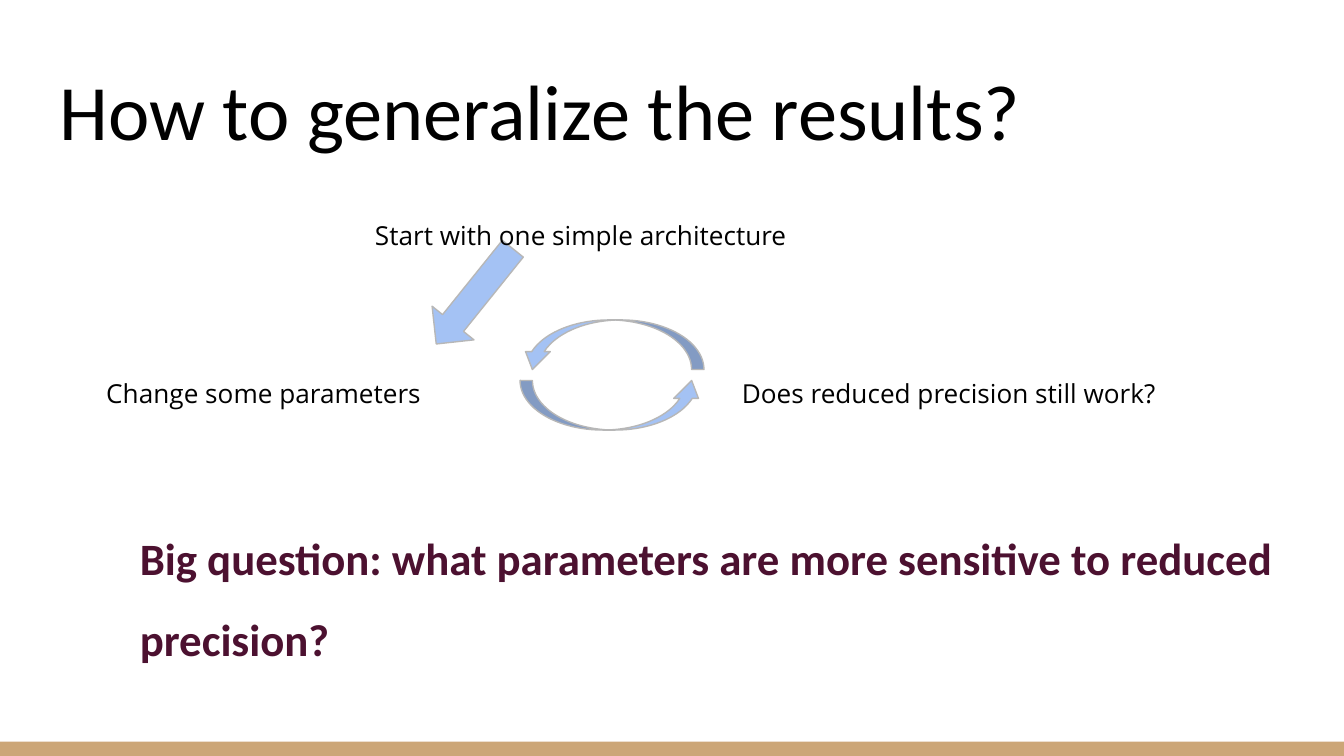
import dataclasses
import typing

import lxml.etree
import pptx
import pptx.dml.color
import pptx.enum.shapes
import pptx.enum.text
import pptx.oxml.ns
import pptx.util

Pt = pptx.util.Pt
Kind = pptx.enum.shapes.MSO_SHAPE
Box = tuple[float, float, float, float]


@dataclasses.dataclass(frozen=True)
class Theme:
    ink: str = "000000"
    plum: str = "4C1130"
    sky: str = "A4C2F4"
    edge: str = "B7B7B7"
    sand: str = "CCA677"
    head_font: str = "Calibri"
    note_font: str = "Open Sans"
    head_size: float = 42
    big_size: float = 24
    note_size: float = 14


@dataclasses.dataclass(frozen=True)
class Note:
    slot: int
    text: str
    box: Box


@dataclasses.dataclass(frozen=True)
class Arrow:
    kind: typing.Any
    box: Box
    bends: tuple[float, ...]
    turn: float = 0
    flip: bool = False


THEME = Theme()
WIDE, HIGH = 720, 405
BAR = 7.7
ROW = 186.5  # top of the two notes beside the loop
CURVE = (0.25, 0.5, 0.361)

NOTES = [
    Note(2, "Start with one simple architecture", (193.7, 102.2, 305.3, 40.3)),
    Note(3, "Change some parameters", (49.7, ROW, 247, 45.4)),
    Note(4, "Does reduced precision still work?", (390.2, ROW, 305.3, 45.4)),
]
ARROWS = [
    Arrow(Kind.DOWN_ARROW, (239.8, 126, 28.8, 65.5), (0.5, 0.5), turn=38.8),
    Arrow(Kind.CURVED_DOWN_ARROW, (278.6, 171.4, 98.6, 26.6), CURVE, flip=True),
    Arrow(Kind.CURVED_DOWN_ARROW, (278.6, 203.8, 98.6, 26.6), CURVE, turn=180, flip=True),
]


def tint(code: str) -> pptx.dml.color.RGBColor:
    return pptx.dml.color.RGBColor.from_string(code)


def place(shape: typing.Any, box: Box) -> None:
    shape.left, shape.top, shape.width, shape.height = map(Pt, box)


def write(shape: typing.Any, text: str, *, box: Box, font: str, size: float,
          color: str = THEME.ink, bold: bool = False, low: bool = False,
          lines: float = 1.0, after: float = 0) -> None:
    """Fill and format a placeholder with one plain paragraph."""
    place(shape, box)
    frame = shape.text_frame
    frame.text = text
    frame.word_wrap = True
    frame.auto_size = pptx.enum.text.MSO_AUTO_SIZE.NONE
    anchor = pptx.enum.text.MSO_ANCHOR
    frame.vertical_anchor = anchor.BOTTOM if low else anchor.TOP
    frame.margin_left = frame.margin_right = Pt(7.2)
    frame.margin_top = frame.margin_bottom = Pt(7.2)

    para = frame.paragraphs[0]
    para.alignment = pptx.enum.text.PP_ALIGN.LEFT
    para.line_spacing = lines
    para.space_before, para.space_after = Pt(0), Pt(after)
    props = para.runs[0].font
    props.name, props.size, props.bold = font, Pt(size), bold
    props.color.rgb = tint(color)

    # No bullet or hanging indent
    node = para._p.get_or_add_pPr()
    node.set("marL", "0")
    node.set("indent", "0")
    lxml.etree.SubElement(node, pptx.oxml.ns.qn("a:buNone"))


def draw(slide: typing.Any, kind: typing.Any, box: Box, fill: str,
         line: str | None = None) -> typing.Any:
    shape = slide.shapes.add_shape(kind, *map(Pt, box))
    shape.shadow.inherit = False
    shape.fill.solid()
    shape.fill.fore_color.rgb = tint(fill)
    if line:
        shape.line.color.rgb = tint(line)
        shape.line.width = Pt(0.75)
    else:
        shape.line.fill.background()
    return shape


def point(slide: typing.Any, arrow: Arrow) -> typing.Any:
    shape = draw(slide, arrow.kind, arrow.box, THEME.sky, THEME.edge)
    for i, bend in enumerate(arrow.bends):
        shape.adjustments[i] = bend
    shape.rotation = arrow.turn
    if arrow.flip:
        shape.element.spPr.find(pptx.oxml.ns.qn("a:xfrm")).set("flipH", "1")
    return shape


def main() -> None:
    deck = pptx.Presentation()
    deck.slide_width, deck.slide_height = Pt(WIDE), Pt(HIGH)
    # The comparison layout has a title and four body slots
    slide = deck.slides.add_slide(deck.slide_layouts[4])
    slots = {s.placeholder_format.idx: s for s in slide.placeholders}

    # Title and closing question
    write(slots[0], "How to generalize the results?", box=(24.5, 25.2, 671, 65.5),
          font=THEME.head_font, size=THEME.head_size, low=True)
    write(slots[1], "Big question: what parameters are more sensitive to reduced precision?",
          box=(67.7, 262.8, 671, 264.2), font=THEME.head_font, size=THEME.big_size,
          color=THEME.plum, bold=True, lines=1.5, after=16)

    # Notes around the loop
    for note in NOTES:
        write(slots[note.slot], note.text, box=note.box, font=THEME.note_font,
              size=THEME.note_size, lines=1.5, after=16)

    # Arrows: the first one lies behind the notes
    start, *_ = [point(slide, arrow) for arrow in ARROWS]
    slots[2].element.addprevious(start.element)

    # Bottom bar, at the very back
    bar = draw(slide, Kind.RECTANGLE, (0, HIGH - BAR, WIDE, BAR), THEME.sand)
    slots[0].element.addprevious(bar.element)

    deck.save("out.pptx")


if __name__ == "__main__":
    main()
